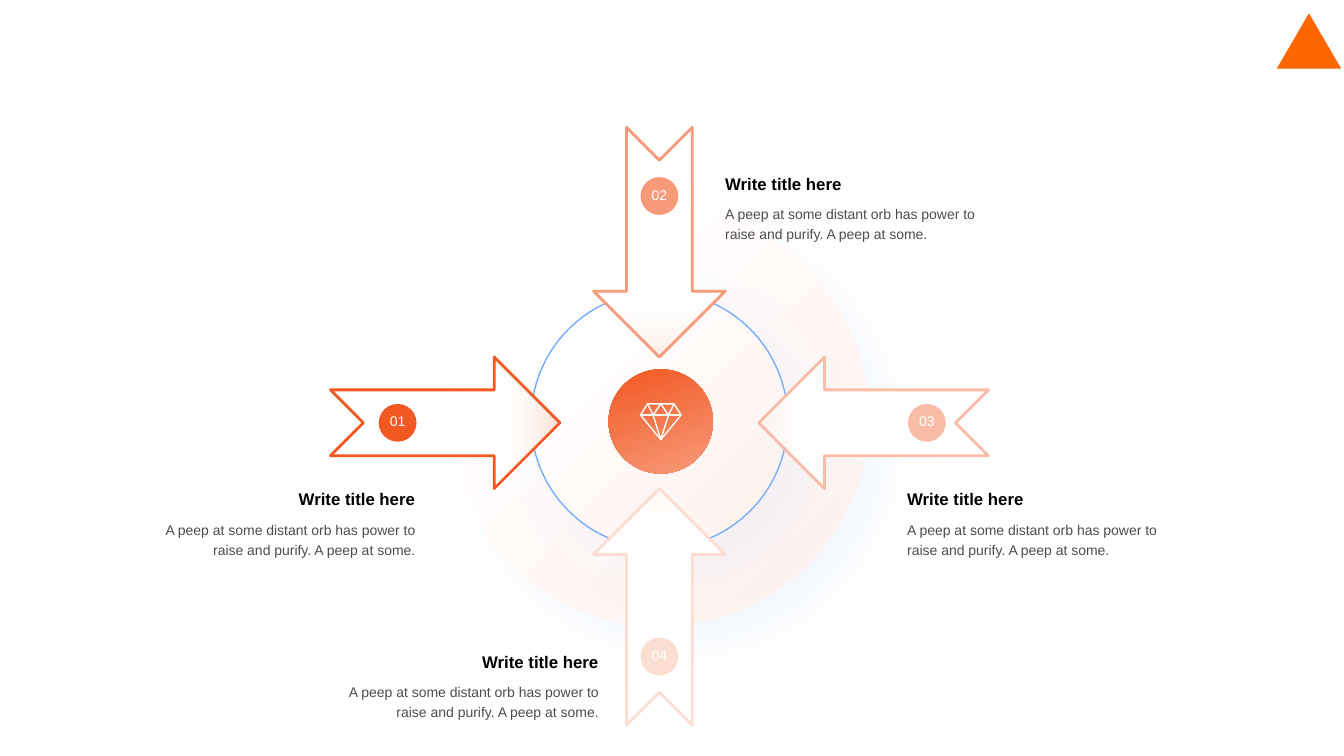
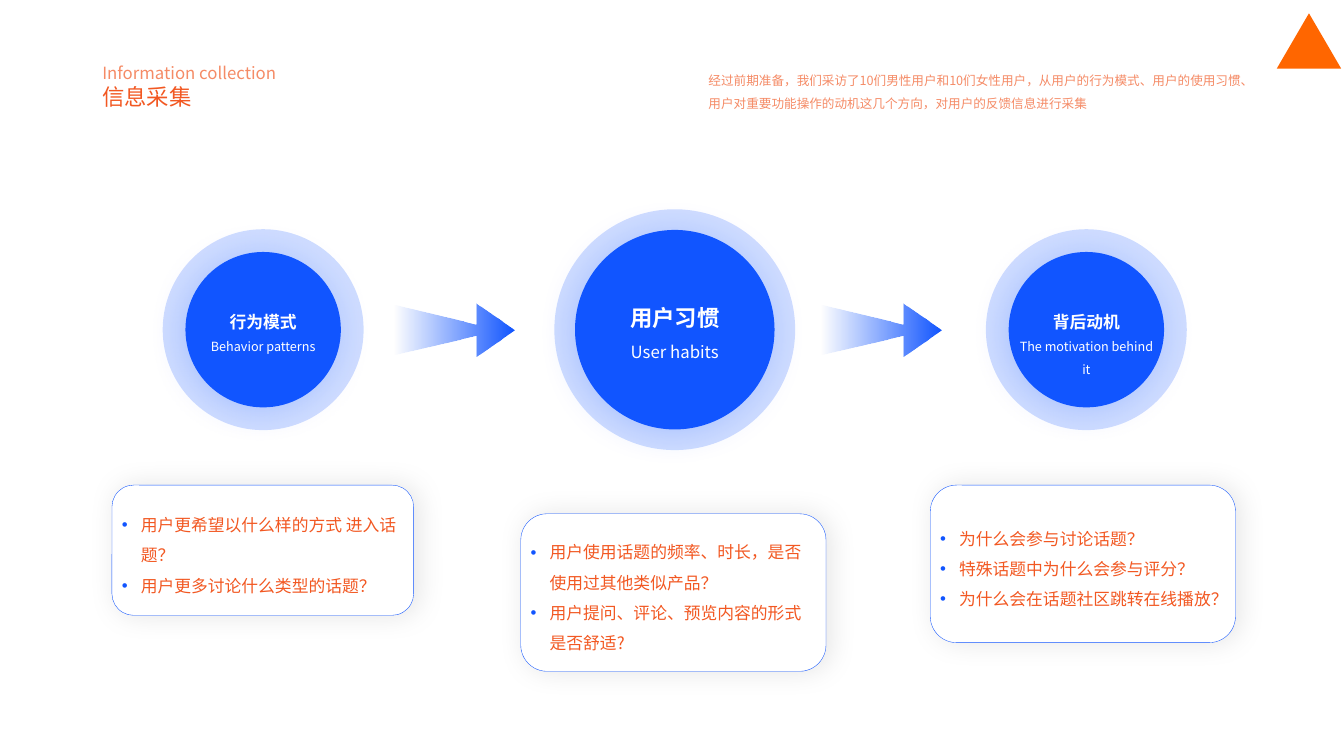
import math
from dataclasses import dataclass

import pptx
import pptx.dml.color
import pptx.enum.shapes
import pptx.enum.text
import pptx.oxml
import pptx.oxml.ns
import pptx.util

Pt = pptx.util.Pt
SHAPE = pptx.enum.shapes.MSO_SHAPE
ALIGN = pptx.enum.text.PP_ALIGN
ANCHOR = pptx.enum.text.MSO_ANCHOR


@dataclass(frozen=True)
class Theme:
    latin: str = "Arial"
    chinese: str = "Noto Sans CJK SC"
    white: str = "FFFFFF"
    black: str = "000000"
    body: str = "4D4D4D"
    orange: str = "F25822"
    salmon: str = "F58B66"
    coral: str = "F79A7A"
    peach: str = "F9BCA6"
    blush: str = "FCDDD2"
    mist: str = "FEF1ED"
    mark: str = "FF6600"
    blue: str = "1155FF"
    ring: str = "76AEFB"
    glow: str = "D2E4FE"
    heading: int = 16
    title: int = 12
    text: int = 10
    small: int = 9


THEME = Theme()

# Shadows: colour, opacity %, blur, distance, angle
DISC_SHADOW = (THEME.glow, 24, 34, 22, 45)
STEP_SHADOW = (THEME.blue, 20, 25, 3, 135)
CARD_SHADOW = (THEME.black, 10, 20, 3, 0)

HUB = (471, 302)
ARROW_BREADTH = 94
ARROW_TITLE = "Write title here"
ARROW_TEXT = "A peep at some distant orb has power to raise and purify. A peep at some."
# number, colour, direction, gap from hub to tip, length, badge distance, text left, text top, alignment
ARROWS = [
    ("01", THEME.orange, 0, 71, 164, 187, 109.5, 343, ALIGN.RIGHT),
    ("02", THEME.coral, 90, 47, 164, 162, 518, 117.5, ALIGN.LEFT),
    ("03", THEME.peach, 180, 71, 164, 191, 648, 343, ALIGN.LEFT),
    ("04", THEME.blush, 270, 47, 169, 167, 240.5, 459, ALIGN.RIGHT),
]
# Diamond lines, from its top left corner
DIAMOND = [
    [(5, 0), (24, 0), (29, 8), (14.5, 25.5), (0, 8), (5, 0)],
    [(0, 8), (29, 8)],
    [(5, 0), (9, 8), (14.5, 0), (20, 8), (24, 0)],
    [(9, 8), (14.5, 25.5), (20, 8)],
]

HEADER = [("Information collection", THEME.title, THEME.salmon),
          ("信息采集", THEME.heading, THEME.orange)]
INTRO = ("经过前期准备，我们采访了10们男性用户和10们女性用户，从用户的行为模式、"
         "用户的使用习惯、用户对重要功能操作的动机这几个方向，对用户的反馈信息进行采集")
FIRST_STEP_X, STEP_PITCH, STEP_Y = 188, 294, 235.5
STEPS = [
    {"title": "行为模式", "subtitle": "Behavior patterns",
     "sizes": (THEME.title, THEME.small), "discs": (111, 143.5), "rise": 16.5,
     "card": (80, 346.5, 215.5, 93),
     "points": ["用户更希望以什么样的方式 进入话题？", "用户更多讨论什么类型的话题？"]},
    {"title": "用户习惯", "subtitle": "User habits",
     "sizes": (THEME.heading, THEME.title), "discs": (142.5, 172), "rise": 21.5,
     "card": (372, 367, 218, 112.5),
     "points": ["用户使用话题的频率、时长，是否使用过其他类似产品？",
                "用户提问、评论、预览内容的形式是否舒适?"]},
    {"title": "背后动机", "subtitle": "The motivation behind it",
     "sizes": (THEME.title, THEME.small), "discs": (111, 143.5), "rise": 16.5,
     "card": (664.5, 346.5, 218, 112.5),
     "points": ["为什么会参与讨论话题？", "特殊话题中为什么会参与评分？",
                "为什么会在话题社区跳转在线播放？"]},
]
LINK_OUTLINE = [[(0, 0.8), (58.3, 15), (58.3, 0), (85.7, 19), (58.3, 38.2),
                 (58.3, 23), (0, 36.8), (0, 0.8)]]
LINK_LEFTS, LINK_TOP = (282, 586.5), 216.5


def rgb(colour):
    return pptx.dml.color.RGBColor.from_string(colour)


def xml(markup):
    """Turn one DrawingML element, written without its namespace, into an object."""
    return pptx.oxml.parse_xml(f"<a:part {pptx.oxml.ns.nsdecls('a')}>{markup}</a:part>")[0]


def colour_xml(colour, opacity=100):
    return f'<a:srgbClr val="{colour}"><a:alpha val="{opacity * 1000}"/></a:srgbClr>'


def set_gradient(shape, stops, angle=None):
    """Stops are (position %, colour, opacity %); without an angle, it spreads from the top left."""
    stop_list = "".join(f'<a:gs pos="{position * 1000}">{colour_xml(colour, opacity)}</a:gs>'
                        for position, colour, opacity in stops)
    if angle is None:
        course = '<a:path path="circle"><a:fillToRect r="100000" b="100000"/></a:path>'
    else:
        course = f'<a:lin ang="{angle * 60000}" scaled="0"/>'
    shape.fill.background()
    empty = shape._element.spPr.find(pptx.oxml.ns.qn("a:noFill"))
    empty.getparent().replace(
        empty, xml(f'<a:gradFill rotWithShape="1"><a:gsLst>{stop_list}</a:gsLst>{course}</a:gradFill>'))


def style(shape, fill=None, line=None, weight=1, shadow=None, opacity=100):
    if fill:
        shape.fill.solid()
        shape.fill.fore_color.rgb = rgb(fill)
        if opacity < 100:
            colour = shape._element.spPr.find(".//" + pptx.oxml.ns.qn("a:srgbClr"))
            colour.append(xml(f'<a:alpha val="{opacity * 1000}"/>'))
    else:
        shape.fill.background()
    if line:
        shape.line.color.rgb = rgb(line)
        shape.line.width = Pt(weight)
    else:
        shape.line.fill.background()
    shape.shadow.inherit = False
    if shadow:
        tint, strength, blur, distance, angle = shadow
        effects = shape._element.spPr.find(pptx.oxml.ns.qn("a:effectLst"))
        effects.append(xml(
            f'<a:outerShdw blurRad="{Pt(blur)}" dist="{Pt(distance)}" dir="{angle * 60000}" '
            f'rotWithShape="0">{colour_xml(tint, strength)}</a:outerShdw>'))
    return shape


def add_shape(slide, kind, left, top, width, height, **look):
    return style(slide.shapes.add_shape(kind, Pt(left), Pt(top), Pt(width), Pt(height)), **look)


def add_centred(slide, kind, centre, width, height, rotation=0, **look):
    shape = add_shape(slide, kind, centre[0] - width / 2, centre[1] - height / 2,
                      width, height, **look)
    shape.rotation = rotation
    return shape


def add_disc(slide, centre, diameter, **look):
    return add_centred(slide, SHAPE.OVAL, centre, diameter, diameter, **look)


def add_outline(slide, contours, left, top, **look):
    units = 100
    builder = None
    for contour in contours:
        points = [(x * units, y * units) for x, y in contour]
        if builder is None:
            builder = slide.shapes.build_freeform(*points[0], scale=Pt(1) / units)
        else:
            builder.move_to(*points[0])
        builder.add_line_segments(points[1:], close=points[0] == points[-1])
    return style(builder.convert_to_shape(Pt(left), Pt(top)), **look)


def add_paragraph(frame, text, size, colour, font, bold=False, align=ALIGN.LEFT,
                  spacing=1.0, before=0, bullet=None):
    first = frame.paragraphs[0]
    paragraph = frame.add_paragraph() if first.runs else first
    paragraph.alignment = align
    paragraph.line_spacing = spacing
    paragraph.space_before = Pt(before)
    if bullet:
        properties = paragraph._p.get_or_add_pPr()
        properties.set("marL", str(Pt(13.5)))
        properties.set("indent", str(-Pt(13.5)))
        for markup in (f"<a:buClr>{colour_xml(bullet)}</a:buClr>",
                       '<a:buFont typeface="Arial"/>', '<a:buChar char="•"/>'):
            properties.append(xml(markup))
    run = paragraph.add_run()
    run.text = text
    run.font.size = Pt(size)
    run.font.bold = bold
    run.font.color.rgb = rgb(colour)
    run.font.name = font
    run._r.get_or_add_rPr().append(xml(f'<a:ea typeface="{font}"/>'))


def set_margins(frame, side, end):
    frame.margin_left = frame.margin_right = Pt(side)
    frame.margin_top = frame.margin_bottom = Pt(end)


def add_text_frame(slide, left, top, width, height, side=7.2, anchor=ANCHOR.TOP):
    frame = slide.shapes.add_textbox(Pt(left), Pt(top), Pt(width), Pt(height)).text_frame
    frame.word_wrap = True
    frame.vertical_anchor = anchor
    set_margins(frame, side, 3.6)
    return frame


def from_hub(direction, distance):
    """Point at a distance behind the hub, for an arrow that flies in the given direction."""
    angle = math.radians(direction)
    return HUB[0] - distance * math.cos(angle), HUB[1] - distance * math.sin(angle)


def new_slide(presentation):
    slide = presentation.slides.add_slide(presentation.slide_layouts[6])
    add_shape(slide, SHAPE.ISOSCELES_TRIANGLE, 912, 9.5, 46, 39.5, fill=THEME.mark)
    return slide


def build_arrows(presentation):
    slide = new_slide(presentation)
    pale = [(14, THEME.white, 100), (100, THEME.mist, 100)]
    for diameter, rise, line in ((299.5, 4.5, None), (183.5, 2, THEME.ring)):
        disc = add_disc(slide, (HUB[0], HUB[1] - rise), diameter, line=line, shadow=DISC_SHADOW)
        set_gradient(disc, pale)
    core = add_disc(slide, (HUB[0] + 1, HUB[1] - 1), 74.5)
    set_gradient(core, [(0, THEME.orange, 100), (100, THEME.coral, 100)], 70)

    for number, colour, direction, gap, length, badge_distance, left, top, align in ARROWS:
        add_centred(slide, SHAPE.NOTCHED_RIGHT_ARROW, from_hub(direction, gap + length / 2),
                    length, ARROW_BREADTH, direction, fill=THEME.white, line=colour, weight=2)
        tint = add_centred(slide, SHAPE.ISOSCELES_TRIANGLE,
                           from_hub(direction, gap + ARROW_BREADTH / 4),
                           ARROW_BREADTH, ARROW_BREADTH / 2, (direction + 90) % 360)
        set_gradient(tint, [(0, colour, 20), (99, THEME.white, 0)], 90)

        badge = add_disc(slide, from_hub(direction, badge_distance), 27, fill=colour).text_frame
        set_margins(badge, 0, 0)
        badge.vertical_anchor = ANCHOR.MIDDLE
        add_paragraph(badge, number, THEME.text, THEME.white, THEME.latin,
                      align=ALIGN.CENTER, spacing=0.8)

        frame = add_text_frame(slide, left, top, 187, 60, side=0)
        add_paragraph(frame, ARROW_TITLE, THEME.title, THEME.black, THEME.latin,
                      bold=True, align=align, spacing=1.2)
        add_paragraph(frame, ARROW_TEXT, THEME.text, THEME.body, THEME.latin,
                      align=align, spacing=1.2, before=6)
    add_outline(slide, DIAMOND, 457.5, 288.5, line=THEME.white)


def build_steps(presentation):
    slide = new_slide(presentation)
    header = add_text_frame(slide, 66, 41.5, 261.5, 41)
    for text, size, colour in HEADER:
        add_paragraph(header, text, size, colour, THEME.chinese)
    intro = add_text_frame(slide, 499, 43, 396.5, 38)
    add_paragraph(intro, INTRO, THEME.small, THEME.salmon, THEME.chinese, spacing=1.5)

    for index, step in enumerate(STEPS):
        centre = (FIRST_STEP_X + index * STEP_PITCH, STEP_Y)
        inner, outer = step["discs"]
        add_disc(slide, centre, inner, fill=THEME.blue, shadow=STEP_SHADOW)
        add_disc(slide, centre, outer, fill=THEME.blue, opacity=20)
        label = add_text_frame(slide, centre[0] - inner / 2, STEP_Y - step["rise"], inner, 50)
        title_size, subtitle_size = step["sizes"]
        add_paragraph(label, step["title"], title_size, THEME.white, THEME.chinese,
                      bold=True, align=ALIGN.CENTER)
        add_paragraph(label, step["subtitle"], subtitle_size, THEME.white, THEME.chinese,
                      align=ALIGN.CENTER, spacing=1.5)

        add_shape(slide, SHAPE.ROUNDED_RECTANGLE, *step["card"], fill=THEME.white,
                  line=THEME.blue, weight=0.25, shadow=CARD_SHADOW)
        points = add_text_frame(slide, *step["card"], anchor=ANCHOR.MIDDLE)
        for point in step["points"]:
            add_paragraph(points, point, THEME.title, THEME.orange, THEME.chinese,
                          spacing=1.5, bullet=THEME.blue)

    for left in LINK_LEFTS:
        link = add_outline(slide, LINK_OUTLINE, left, LINK_TOP)
        set_gradient(link, [(0, THEME.blue, 100), (100, THEME.blue, 0)], 180)


def main():
    presentation = pptx.Presentation()
    presentation.slide_width, presentation.slide_height = Pt(960), Pt(540)
    build_arrows(presentation)
    build_steps(presentation)
    presentation.save("out.pptx")


if __name__ == "__main__":
    main()
